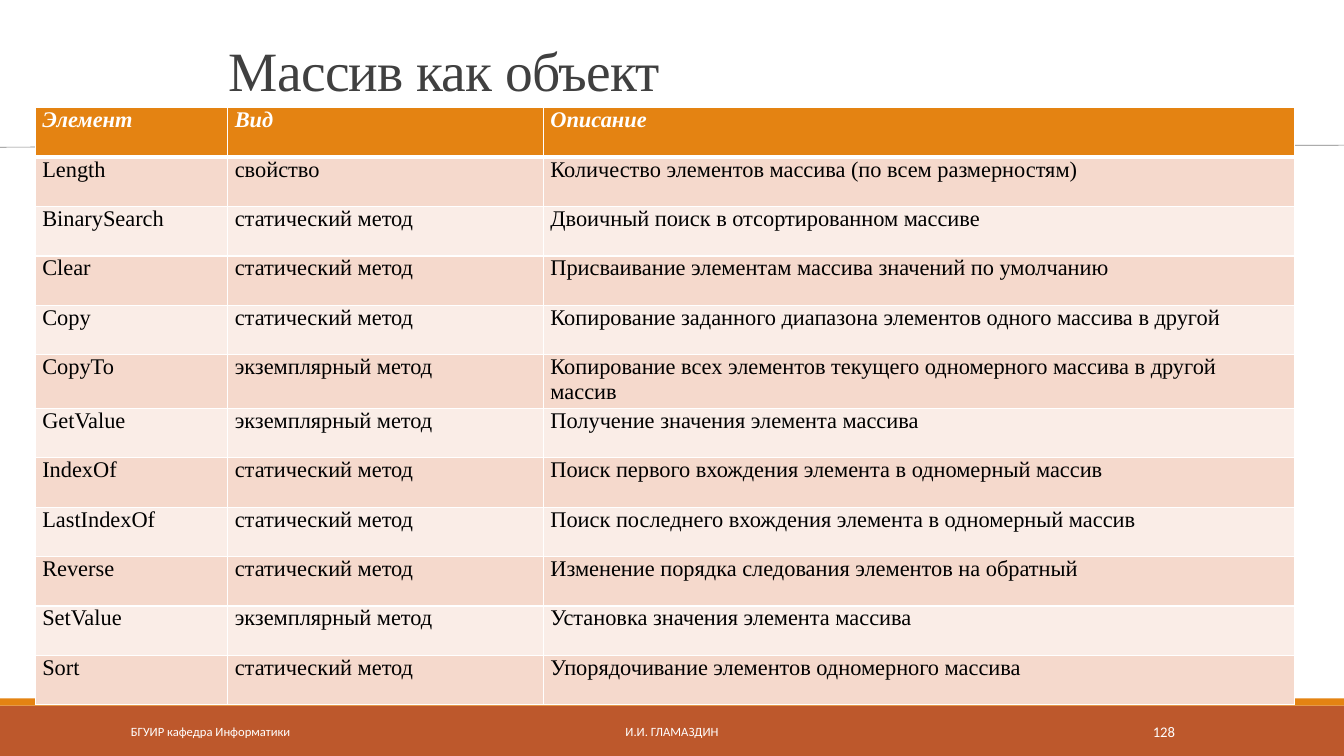
import pptx
import pptx.dml.color
import pptx.enum.shapes
import pptx.enum.text
import pptx.oxml
import pptx.oxml.ns
import pptx.util

WIDTH, HEIGHT = 13.33, 7.5
COLORS = {
    "footer": "BD582C",
    "accent": "E48312",
    "rule": "808080",
    "title": "404040",
    "white": "FFFFFF",
    "text": "000000",
    "odd": "F5D9CC",
    "even": "FAEDE7",
}
SERIF, SANS = "Times New Roman", "Calibri"
ALIGN = pptx.enum.text.PP_ALIGN
ANCHOR = pptx.enum.text.MSO_ANCHOR

COLUMN_WIDTHS = [1.91, 3.13, 7.45]
ROW_HEIGHT = 0.49
STATIC, INSTANCE = "статический метод", "экземплярный метод"
MEMBERS = [
    ("Элемент", "Вид", "Описание"),
    ("Length", "свойство", "Количество элементов массива (по всем размерностям)"),
    ("BinarySearch", STATIC, "Двоичный поиск в отсортированном массиве"),
    ("Clear", STATIC, "Присваивание элементам массива значений по умолчанию"),
    ("Copy", STATIC, "Копирование заданного диапазона элементов одного массива в другой"),
    ("CopyTo", INSTANCE, "Копирование всех элементов текущего одномерного массива в другой массив"),
    ("GetValue", INSTANCE, "Получение значения элемента массива"),
    ("IndexOf", STATIC, "Поиск первого вхождения элемента в одномерный массив"),
    ("LastIndexOf", STATIC, "Поиск последнего вхождения элемента в одномерный массив"),
    ("Reverse", STATIC, "Изменение порядка следования элементов на обратный"),
    ("SetValue", INSTANCE, "Установка значения элемента массива"),
    ("Sort", STATIC, "Упорядочивание элементов одномерного массива"),
]


def inches(*lengths):
    return [pptx.util.Inches(length) for length in lengths]


def rgb(name):
    return pptx.dml.color.RGBColor.from_string(COLORS[name])


def style_font(font, face, size, color, emphasis=False):
    font.name, font.size = face, pptx.util.Pt(size)
    font.bold = font.italic = emphasis
    font.color.rgb = rgb(color)


def add_band(page, top, height, color):
    """Add a bar across the whole width of the slide."""
    band = page.shapes.add_shape(
        pptx.enum.shapes.MSO_SHAPE.RECTANGLE, *inches(0, top, WIDTH, height))
    band.shadow.inherit = False
    band.fill.solid()
    band.fill.fore_color.rgb = rgb(color)
    band.line.fill.background()


def add_rule(page, start, end):
    rule = page.shapes.add_connector(
        pptx.enum.shapes.MSO_CONNECTOR.STRAIGHT, *inches(*start, *end))
    rule.line.color.rgb = rgb("rule")
    rule.line.width = pptx.util.Pt(0.5)
    properties = rule._element.spPr
    properties.append(pptx.oxml.parse_xml(
        f'<a:effectLst {pptx.oxml.ns.nsdecls("a")}/>'))


def add_text(page, frame, text, face, size, color, align=ALIGN.LEFT, anchor=ANCHOR.MIDDLE):
    box = page.shapes.add_textbox(*inches(*frame))
    box.text_frame.word_wrap = True
    box.text_frame.vertical_anchor = anchor
    box.text_frame.text = text
    para = box.text_frame.paragraphs[0]
    para.alignment = align
    style_font(para.runs[0].font, face, size, color)
    return para


def add_title(page, frame, text):
    para = add_text(page, frame, text, SERIF, 39.6, "title", anchor=ANCHOR.BOTTOM)
    para.line_spacing = 0.85
    para.runs[0]._r.get_or_add_rPr().set("spc", "-50")


def set_borders(cell, is_header):
    """Draw white cell edges, with a thick one between header and body."""
    properties = cell._tc.get_or_add_tcPr()
    widths = {"lnL": 1, "lnR": 1, "lnT": 1, "lnB": 3 if is_header else 1}
    for position, (side, width) in enumerate(widths.items()):
        properties.insert(position, pptx.oxml.parse_xml(
            f'<a:{side} {pptx.oxml.ns.nsdecls("a")} w="{pptx.util.Pt(width)}">'
            f'<a:solidFill><a:srgbClr val="{COLORS["white"]}"/></a:solidFill>'
            f'</a:{side}>'))


def fill_cell(cell, text, row):
    is_header = row == 0
    cell.margin_left, cell.margin_right, cell.margin_top, cell.margin_bottom = inches(
        0.07, 0.1, 0, 0)
    cell.text_frame.text = text
    style_font(cell.text_frame.paragraphs[0].runs[0].font, SERIF, 16,
               "white" if is_header else "text", emphasis=is_header)
    cell.fill.solid()
    cell.fill.fore_color.rgb = rgb(
        "accent" if is_header else "odd" if row % 2 else "even")
    set_borders(cell, is_header)


def add_member_table(page, left, top):
    size = sum(COLUMN_WIDTHS), ROW_HEIGHT * len(MEMBERS)
    table = page.shapes.add_table(
        len(MEMBERS), len(COLUMN_WIDTHS), *inches(left, top, *size)).table
    table.horz_banding = False
    for column, width in zip(table.columns, COLUMN_WIDTHS):
        column.width = pptx.util.Inches(width)
    for row, member in enumerate(MEMBERS):
        table.rows[row].height = pptx.util.Inches(ROW_HEIGHT)
        for column, text in enumerate(member):
            fill_cell(table.cell(row, column), text, row)


def add_footer(page):
    top, height = 7.06, 0.4
    for left, width, text, size, align in [
        (1.2, 2.7, "БГУИР кафедра Информатики", 9, ALIGN.LEFT),
        (4.03, 5.27, "И.И. ГЛАМАЗДИН", 9, ALIGN.CENTER),
        (10.83, 1.43, "128", 10.5, ALIGN.CENTER),
    ]:
        add_text(page, (left, top, width, height), text, SANS, size, "white", align)


def main():
    deck = pptx.Presentation()
    deck.slide_width, deck.slide_height = inches(WIDTH, HEIGHT)
    page = deck.slides.add_slide(deck.slide_layouts[6])
    add_band(page, 7, 0.5, "footer")
    add_band(page, 6.93, 0.07, "accent")
    add_rule(page, (0, 1.46), (13.37, 1.44))
    add_title(page, (2.17, 0.3, 9, 0.77), "Массив как объект")
    add_member_table(page, 0.35, 1.07)
    add_footer(page)
    deck.save("out.pptx")


if __name__ == "__main__":
    main()
